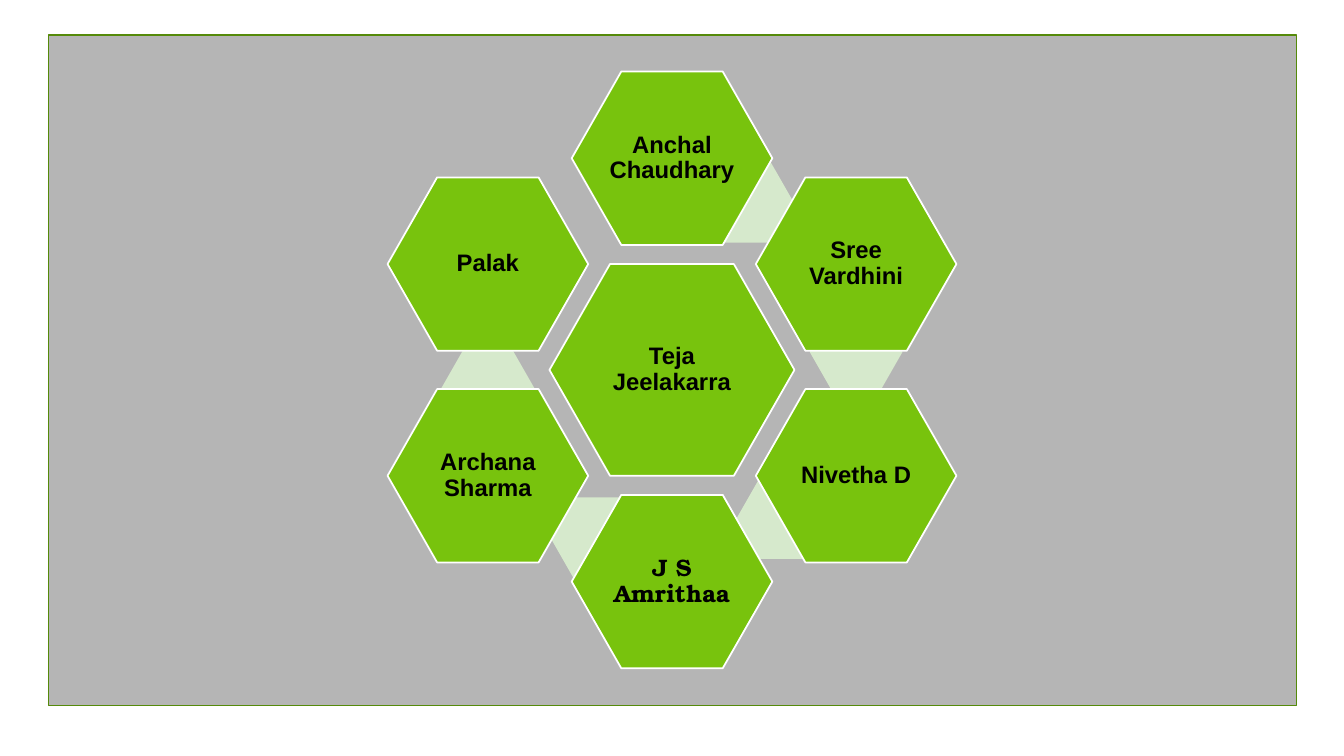
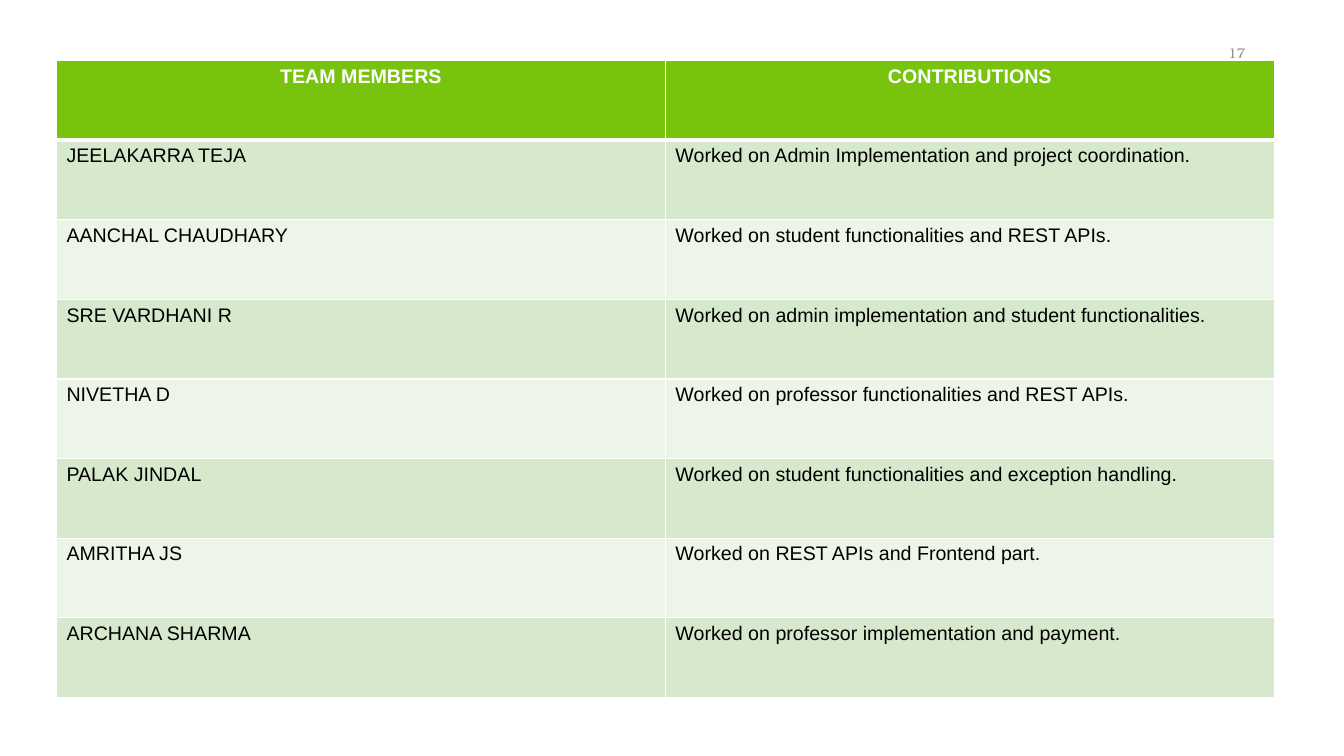
"""Build a team hexagon diagram and a table of contributions."""
from lxml import etree
from pptx import Presentation, util as u
from pptx.dml.color import RGBColor
from pptx.enum import shapes, text
from pptx.oxml.ns import qn

COLORS = {"green": "78C30D", "dark": "558A0A", "gray": "B5B5B5", "pale": "D6E9CC",
          "mist": "ECF5E7", "white": "FFFFFF", "black": "000000", "number": "8C8C8C"}
SANS, SERIF = "Arial", "TeX Gyre Bonum"

deck = Presentation()
deck.slide_width, deck.slide_height = u.Inches(13.33), u.Inches(7.5)
COLUMN, ROW = deck.slide_width * 0.137, deck.slide_height * 0.14
CENTER_X, CENTER_Y = deck.slide_width / 2, u.Inches(3.67)


def write(frame, words, color, align=text.PP_ALIGN.LEFT, **style):
    """Put one formatted paragraph in a text frame."""
    para = frame.paragraphs[0]
    para.alignment = align
    span = para.add_run()
    span.text = words
    span.font.color.rgb = RGBColor.from_string(COLORS[color])
    for key, value in style.items():
        setattr(span.font, key, value)
    return para


def add_box(page, kind, place, fill, line=None):
    """Add a flat filled shape with an optional outline."""
    box = page.shapes.add_shape(kind, *(int(length) for length in place))
    box.shadow.inherit = False
    box.fill.solid()
    box.fill.fore_color.rgb = RGBColor.from_string(COLORS[fill])
    if line:
        box.line.color.rgb = RGBColor.from_string(COLORS[line])
        box.line.width = u.Pt(1.25)
    else:
        box.line.fill.background()
    return box


team_page, work_page = (deck.slides.add_slide(deck.slide_layouts[6]) for _ in range(2))

panel = [u.Inches(length) for length in (0.48, 0.35, 12.38, 6.65)]
add_box(team_page, shapes.MSO_SHAPE.RECTANGLE, panel, "gray", "dark")

SIZES = {"hub": (2.43, 2.1), "member": (1.99, 1.72), "link": (0.92, 0.79)}
hexagons = [
    ("hub", 0, 0, "Teja Jeelakarra"),
    ("link", 0.41, -1.58, ""),
    ("member", 0, -2, "Anchal Chaudhary"),
    ("link", 1, -0.17, ""),
    ("member", 1, -1, "Sree Vardhini"),
    ("link", 0.6, 1.41, ""),
    ("member", 1, 1, "Nivetha D"),
    ("link", -0.41, 1.58, ""),
    ("member", 0, 2, "J S Amrithaa"),
    ("link", -1, 0.17, ""),
    ("member", -1, 1, "Archana Sharma"),
    ("member", -1, -1, "Palak"),
]
for role, column, row, name in hexagons:
    width, height = (u.Inches(length) for length in SIZES[role])
    place = (CENTER_X + column * COLUMN - width / 2, CENTER_Y + row * ROW - height / 2,
             width, height)
    colors = ("green", "white") if name else ("pale",)
    box = add_box(team_page, shapes.MSO_SHAPE.HEXAGON, place, *colors)
    box.adjustments[0] = 0.286
    if name:
        frame = box.text_frame
        frame.word_wrap = True
        frame.vertical_anchor = text.MSO_ANCHOR.MIDDLE
        for side in ("left", "top", "right", "bottom"):
            setattr(frame, f"margin_{side}", u.Inches(0.02))
        font = SERIF if name.startswith("J S") else SANS
        para = write(frame, name, "black", text.PP_ALIGN.CENTER,
                     name=font, size=u.Pt(17), bold=True)
        para.line_spacing = 0.9

number = work_page.shapes.add_textbox(*(u.Inches(length) for length in (11.45, 0.35, 1, 0.35)))
number.text_frame.word_wrap = True
number.text_frame.vertical_anchor = text.MSO_ANCHOR.MIDDLE
write(number.text_frame, "17", "number", text.PP_ALIGN.RIGHT, name=SERIF, size=u.Pt(10))

rows = [
    ("TEAM MEMBERS", "CONTRIBUTIONS"),
    ("JEELAKARRA TEJA", "Worked on Admin Implementation and project coordination."),
    ("AANCHAL CHAUDHARY", "Worked on student functionalities and REST APIs."),
    ("SRE VARDHANI R", "Worked on admin implementation and student functionalities."),
    ("NIVETHA D", "Worked on professor functionalities and REST APIs."),
    ("PALAK JINDAL", "Worked on student functionalities and exception handling."),
    ("AMRITHA JS", "Worked on REST APIs and Frontend part."),
    ("ARCHANA SHARMA", "Worked on professor implementation and payment."),
]
table = work_page.shapes.add_table(len(rows), 2, u.Inches(0.56), u.Inches(0.6),
                                   u.Inches(12.08), u.Inches(6.3)).table
for index, words in enumerate(rows):
    header = index == 0
    table.rows[index].height = u.Inches(0.79)
    fill = "green" if header else ("mist", "pale")[index % 2]
    for cell, entry in zip(table.rows[index].cells, words):
        properties = cell._tc.get_or_add_tcPr()
        for side in "LRTB":
            thick = (index, side) in ((0, "B"), (1, "T"))
            border = etree.SubElement(properties, qn(f"a:ln{side}"),
                                      w=str(u.Pt(3 if thick else 1)))
            paint = etree.SubElement(border, qn("a:solidFill"))
            etree.SubElement(paint, qn("a:srgbClr"), val=COLORS["white"])
        cell.fill.solid()
        cell.fill.fore_color.rgb = RGBColor.from_string(COLORS[fill])
        write(cell.text_frame, entry, "white" if header else "black",
              text.PP_ALIGN.CENTER if header else text.PP_ALIGN.LEFT,
              name=SANS, size=u.Pt(14), bold=header)

deck.save("out.pptx")
